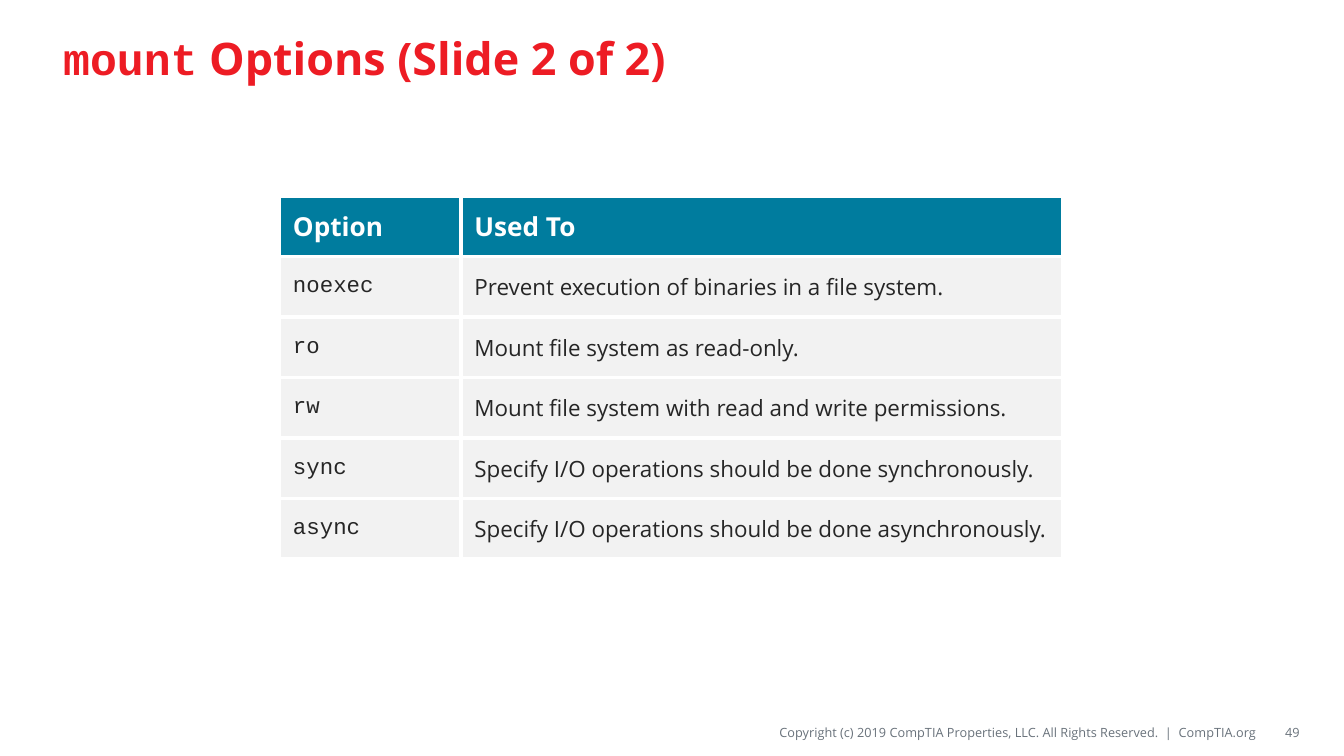
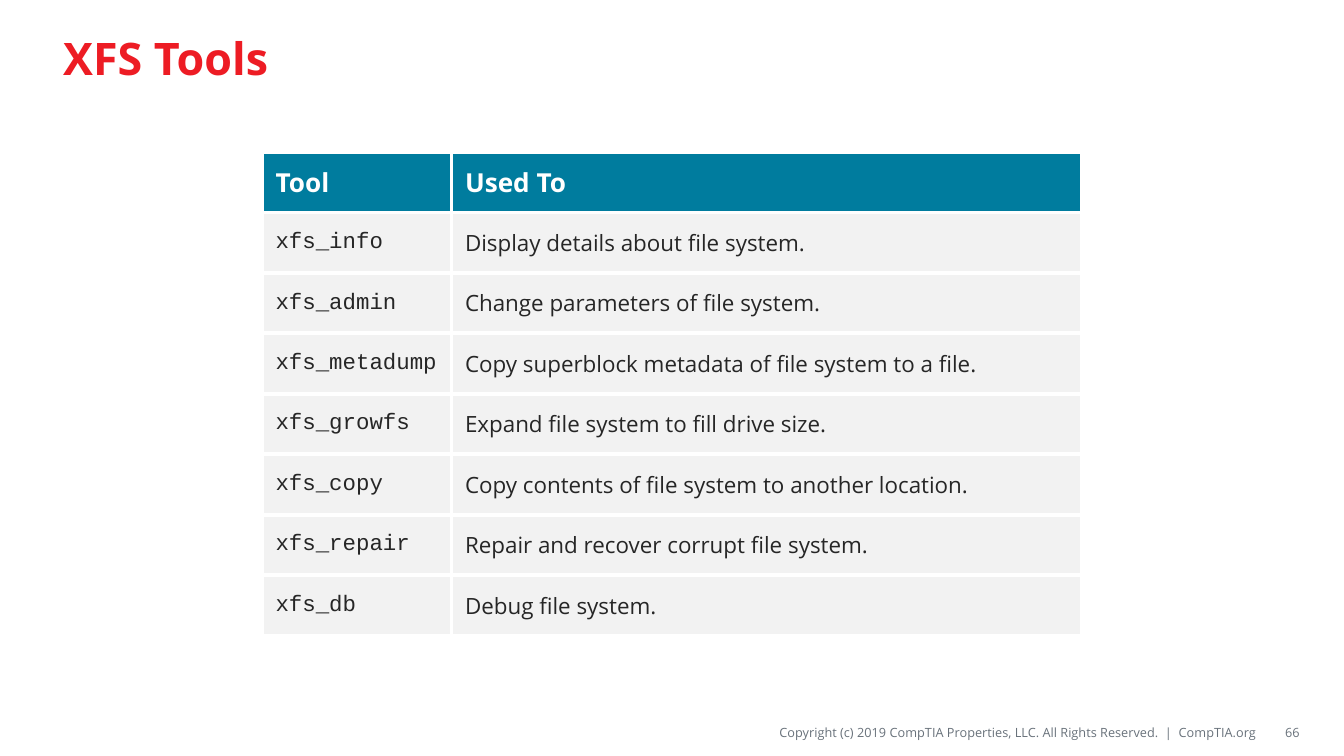
import pptx
import pptx.dml.color
import pptx.enum.text
import pptx.oxml.ns
import pptx.util
from lxml import etree

Inches = pptx.util.Inches
Pt = pptx.util.Pt
ALIGN = pptx.enum.text.PP_ALIGN
MIDDLE = pptx.enum.text.MSO_ANCHOR.MIDDLE

COLORS = {
    "title": "ED1C24",
    "header": "007C9E",
    "header_text": "FFFFFF",
    "body": "F2F2F2",
    "body_text": "262626",
    "border": "FFFFFF",
    "footer": "69727B",
}
SANS, MONO = "Open Sans", "Courier New"
SLIDE_WIDTH = Inches(10)
SLIDE_HEIGHT = SLIDE_WIDTH * 9 // 16
TITLE_BOX = (0.37, 0.08, 9.25, 0.69)
COPYRIGHT_BOX = (3.88, 5.34, 5.47, 0.22)
NUMBER_BOX = (9.38, 5.34, 0.29, 0.22)
COPYRIGHT = ("Copyright (c) 2019 CompTIA Properties, LLC. "
             "All Rights Reserved.  |  CompTIA.org")
ROW_HEIGHT = 0.45
BORDER_WIDTH = 2.25

TITLE_FONT = {"size": Pt(24), "bold": True}
HEADER_FONT = {"size": Pt(14), "bold": True}
BODY_FONT = {"size": Pt(12), "bold": False}
FOOTER_FONT = {"size": Pt(6.8)}

SLIDES = [
    {
        "title": [("mount", MONO), (" Options (Slide 2 of 2)", SANS)],
        "number": "49",
        "origin": (2.08, 1.46),
        "columns": (1.35, 4.48),
        "rows": [
            ("Option", "Used To"),
            ("noexec", "Prevent execution of binaries in a file system."),
            ("ro", "Mount file system as read-only."),
            ("rw", "Mount file system with read and write permissions."),
            ("sync", "Specify I/O operations should be done synchronously."),
            ("async", "Specify I/O operations should be done asynchronously."),
        ],
    },
    {
        "title": [("XFS Tools", SANS)],
        "number": "66",
        "origin": (1.95, 1.13),
        "columns": (1.41, 4.69),
        "rows": [
            ("Tool", "Used To"),
            ("xfs_info", "Display details about file system."),
            ("xfs_admin", "Change parameters of file system."),
            ("xfs_metadump", "Copy superblock metadata of file system to a file."),
            ("xfs_growfs", "Expand file system to fill drive size."),
            ("xfs_copy", "Copy contents of file system to another location."),
            ("xfs_repair", "Repair and recover corrupt file system."),
            ("xfs_db", "Debug file system."),
        ],
    },
]


def rgb(name):
    return pptx.dml.color.RGBColor.from_string(COLORS[name])


def set_all(target, values):
    for name, value in values.items():
        setattr(target, name, value)


def write_runs(frame, runs, font, color, align=ALIGN.LEFT):
    """Fill the first paragraph with (text, font name) runs."""
    paragraph = frame.paragraphs[0]
    paragraph.alignment = align
    for text, family in runs:
        run = paragraph.add_run()
        run.text = text
        set_all(run.font, {**font, "name": family})
        run.font.color.rgb = rgb(color)


def add_title(slide, runs, box):
    title = slide.shapes.title
    set_all(title, dict(zip(("left", "top", "width", "height"), map(Inches, box))))
    set_all(title.text_frame, {
        "word_wrap": True,
        "vertical_anchor": MIDDLE,
        "auto_size": pptx.enum.text.MSO_AUTO_SIZE.NONE,
    })
    write_runs(title.text_frame, runs, TITLE_FONT, "title")


def add_footer_text(slide, text, box, left_inset, vertical_inset):
    frame = slide.shapes.add_textbox(*map(Inches, box)).text_frame
    set_all(frame, {
        "word_wrap": True,
        "vertical_anchor": MIDDLE,
        "margin_left": Inches(left_inset),
        "margin_right": 0,
        "margin_top": Inches(vertical_inset),
        "margin_bottom": Inches(vertical_inset),
    })
    write_runs(frame, [(text, SANS)], FOOTER_FONT, "footer", ALIGN.RIGHT)


def add_borders(cell):
    qn = pptx.oxml.ns.qn
    properties = cell._tc.get_or_add_tcPr()
    for side in ("a:lnL", "a:lnR", "a:lnT", "a:lnB"):
        line = etree.SubElement(properties, qn(side), w=str(Pt(BORDER_WIDTH)))
        fill = etree.SubElement(line, qn("a:solidFill"))
        etree.SubElement(fill, qn("a:srgbClr"), val=COLORS["border"])


def add_command_table(slide, rows, origin, columns):
    """Draw a header row, then commands in monospace beside their purpose."""
    box = (*origin, sum(columns), ROW_HEIGHT * len(rows))
    table = slide.shapes.add_table(len(rows), len(columns), *map(Inches, box)).table
    for column, width in zip(table.columns, columns):
        column.width = Inches(width)
    for row_index, texts in enumerate(rows):
        table.rows[row_index].height = Inches(ROW_HEIGHT)
        part, font = ("body", BODY_FONT) if row_index else ("header", HEADER_FONT)
        for column_index, text in enumerate(texts):
            cell = table.cell(row_index, column_index)
            cell.vertical_anchor = MIDDLE
            add_borders(cell)
            cell.fill.solid()
            cell.fill.fore_color.rgb = rgb(part)
            family = MONO if row_index and column_index == 0 else SANS
            write_runs(cell.text_frame, [(text, family)], font, part + "_text")


def add_table_slide(deck, content):
    slide = deck.slides.add_slide(deck.slide_layouts.get_by_name("Title Only"))
    add_footer_text(slide, COPYRIGHT, COPYRIGHT_BOX, 0, 0.04)
    add_title(slide, content["title"], TITLE_BOX)
    add_footer_text(slide, content["number"], NUMBER_BOX, 0.1, 0.05)
    add_command_table(slide, content["rows"], content["origin"], content["columns"])


def main():
    deck = pptx.Presentation()
    set_all(deck, {"slide_width": SLIDE_WIDTH, "slide_height": SLIDE_HEIGHT})
    for content in SLIDES:
        add_table_slide(deck, content)
    deck.save("out.pptx")


if __name__ == "__main__":
    main()
